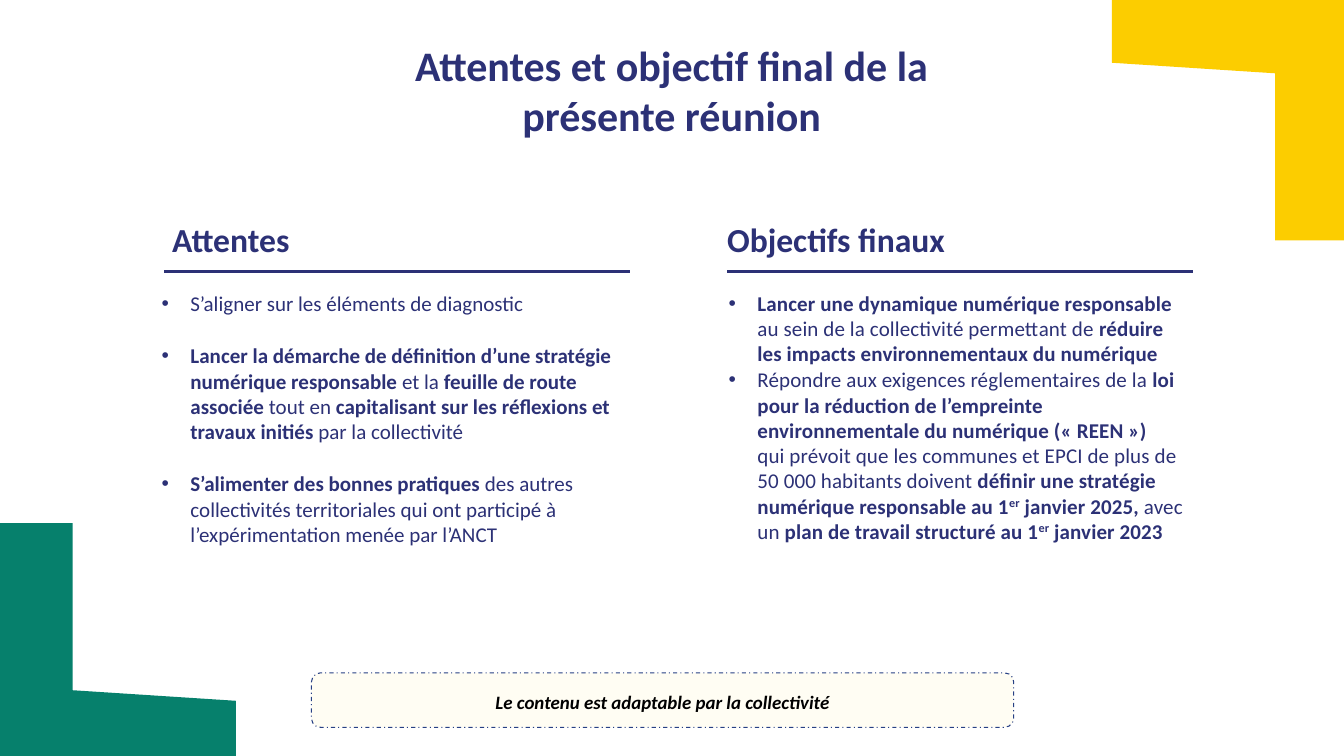
from lxml import etree
from pptx import Presentation
from pptx.dml.color import RGBColor
from pptx.enum.dml import MSO_LINE_DASH_STYLE as Dash
from pptx.enum.shapes import MSO_CONNECTOR as Connector, MSO_SHAPE as Shape
from pptx.enum.text import MSO_ANCHOR as Anchor, PP_ALIGN as Align
from pptx.oxml.ns import qn
from pptx.util import Pt

PX = 9144  # 100 px to the inch
WIDTH, HEIGHT = 1778, 1000
COLORS = {
    "navy": "2C3176",
    "yellow": "FCCD00",
    "green": "06806C",
    "cream": "FFFDF3",
    "border": "274084",
    "black": "000000",
}


class SlideBuilder:
    font_name = "Calibri"

    def __init__(self, page):
        self.page = page

    def color(self, name):
        return RGBColor.from_string(COLORS[name])

    def style(self, font, size, color="navy", bold=False, italic=False):
        font.name = self.font_name
        font.size = Pt(size)
        font.bold = bold
        font.italic = italic
        font.color.rgb = self.color(color)

    def polygon(self, points, color):
        builder = self.page.shapes.build_freeform(*points[0], scale=PX)
        builder.add_line_segments(points[1:], close=True)
        shape = builder.convert_to_shape()
        shape.shadow.inherit = False
        shape.fill.solid()
        shape.fill.fore_color.rgb = self.color(color)
        shape.line.fill.background()

    def rule(self, left, top, width):
        line = self.page.shapes.add_connector(
            Connector.STRAIGHT, left * PX, top * PX, (left + width) * PX, top * PX)
        line.line.color.rgb = self.color("navy")
        line.line.width = Pt(2.25)
        etree.SubElement(line._element.spPr, qn("a:effectLst"))

    def frame(self, left, top, width, height, margins):
        box = self.page.shapes.add_textbox(left * PX, top * PX, width * PX, height * PX)
        frame = box.text_frame
        frame.word_wrap = True
        self.margins(frame, margins)
        return frame

    def margins(self, frame, margins):
        (frame.margin_left, frame.margin_top,
         frame.margin_right, frame.margin_bottom) = [side * PX for side in margins]

    def text(self, area, words, size, align=Align.LEFT, margins=(0, 0, 0, 0)):
        frame = self.frame(*area, margins)
        frame.text = words
        para = frame.paragraphs[0]
        para.alignment = align
        for span in para.runs:
            self.style(span.font, size, bold=True)

    def bullets(self, area, items, gap, spacing=0):
        """Each item is a list of (text, marks): b bold, s superscript, n new line after."""
        frame = self.frame(*area, (0, 1, 0, 0))
        for index, spans in enumerate(items):
            para = frame.add_paragraph() if index else frame.paragraphs[0]
            properties = para._p.get_or_add_pPr()
            properties.set("marL", str(39 * PX))
            properties.set("indent", str(-38 * PX))
            etree.SubElement(properties, qn("a:buFont"), typeface="Arial")
            etree.SubElement(properties, qn("a:buChar"), char="•")
            if index:
                para.space_before = Pt(gap)
            for words, marks in spans:
                span = para.add_run()
                span.text = words
                self.style(span.font, 20, bold="b" in marks)
                run_properties = span._r.get_or_add_rPr()
                if spacing:
                    run_properties.set("spc", str(spacing))
                if "s" in marks:
                    run_properties.set("baseline", "30000")
                if "n" in marks:
                    para.add_line_break()

    def note(self, area, words):
        shape = self.page.shapes.add_shape(
            Shape.ROUNDED_RECTANGLE, *[length * PX for length in area])
        shape.shadow.inherit = False
        shape.fill.solid()
        shape.fill.fore_color.rgb = self.color("cream")
        shape.line.color.rgb = self.color("border")
        shape.line.width = Pt(1)
        shape.line.dash_style = Dash.DASH_DOT
        frame = shape.text_frame
        frame.word_wrap = True
        frame.vertical_anchor = Anchor.MIDDLE
        self.margins(frame, (10, 10, 10, 5))
        frame.text = words
        para = frame.paragraphs[0]
        para.alignment = Align.CENTER
        self.style(para.runs[0].font, 18, "black", bold=True, italic=True)


EXPECTATIONS = [
    [("S’aligner sur les éléments de diagnostic", "")],
    [("Lancer la démarche de définition d’une stratégie numérique responsable ", "b"),
     ("et la ", ""),
     ("feuille de route associée ", "b"),
     ("tout en ", ""),
     ("capitalisant sur les réflexions et travaux initiés ", "b"),
     ("par la collectivité", "")],
    [("S’alimenter des bonnes pratiques ", "b"),
     ("des autres collectivités territoriales qui ont participé à "
      "l’expérimentation menée par l’ANCT", "")],
]
GOALS = [
    [("Lancer une dynamique numérique responsable ", "b"),
     ("au sein de la collectivité permettant de ", ""),
     ("réduire les impacts environnementaux du numérique", "b")],
    [("Répondre aux exigences réglementaires de la ", ""),
     ("loi pour la réduction de l’empreinte environnementale du numérique "
      "(« REEN »)", "bn"),
     ("qui prévoit que les communes et EPCI de plus de 50 000 habitants doivent ", ""),
     ("définir une stratégie numérique responsable au 1", "b"),
     ("er", "bs"),
     (" janvier 2025, ", "b"),
     ("avec un ", ""),
     ("plan de travail structuré au 1", "b"),
     ("er", "bs"),
     (" janvier 2023", "b")],
]


def main():
    deck = Presentation()
    deck.slide_width, deck.slide_height = WIDTH * PX, HEIGHT * PX
    slide = SlideBuilder(deck.slides.add_slide(deck.slide_layouts[6]))

    # Corner decorations
    slide.polygon([(WIDTH, 0), (1471, 0), (1471, 83), (1687, 97),
                   (1687, 318), (WIDTH, 318)], "yellow")
    slide.polygon([(96, 692), (0, 692), (0, HEIGHT), (312, HEIGHT),
                   (312, 927), (96, 913)], "green")

    # Title
    slide.text((109, 52, 1559, 135), "Attentes et objectif final de la\vprésente réunion",
               40, Align.CENTER)

    # Column headings and rules
    for heading, left, rule_left in (("Attentes", 218, 217), ("Objectifs finaux", 952, 962)):
        slide.text((left, 284, 637, 64), heading, 32, margins=(10, 5, 10, 5))
        slide.rule(rule_left, 359, 616)

    # Column contents
    slide.bullets((213, 383, 603, 449), EXPECTATIONS, gap=26)
    slide.bullets((963, 383, 603, 408), GOALS, gap=1, spacing=10)

    # Closing note
    slide.note((412, 890, 929, 72), "Le contenu est adaptable par la collectivité")

    deck.save("out.pptx")


if __name__ == "__main__":
    main()
